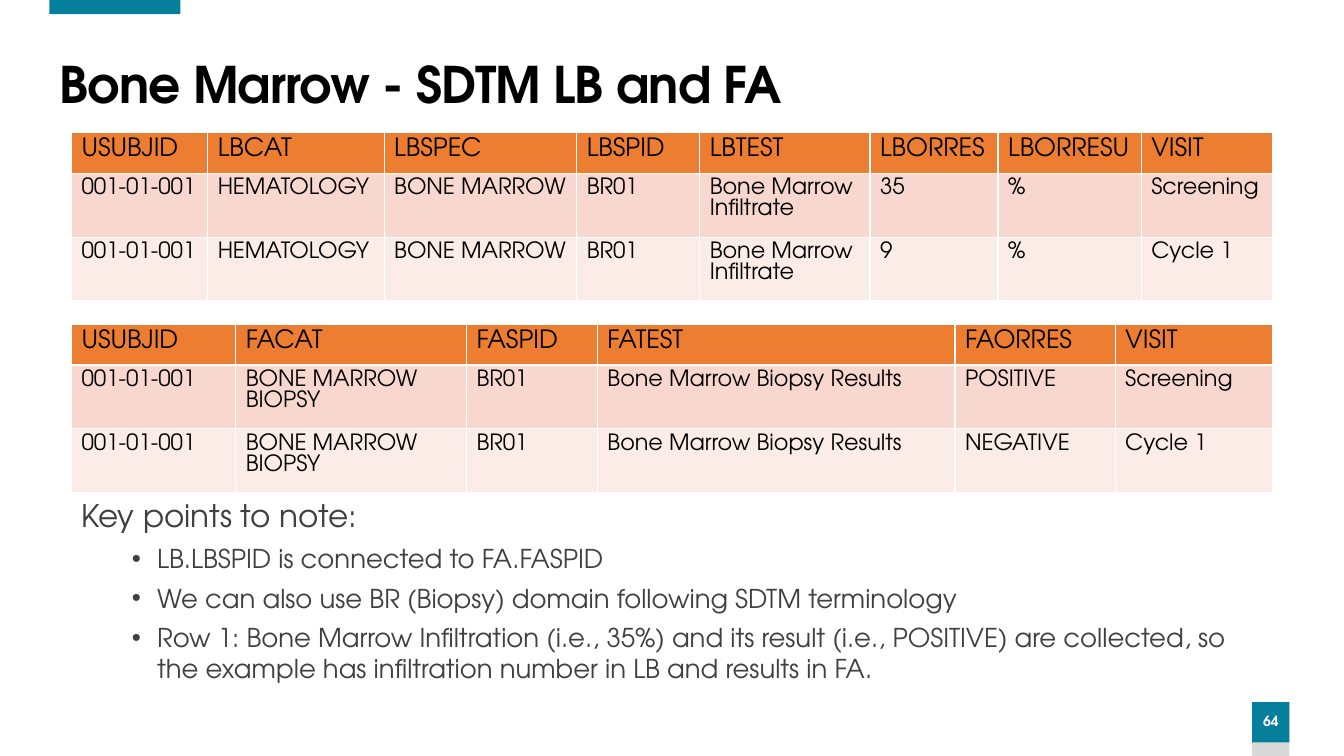
from dataclasses import dataclass

from lxml import etree
from pptx import Presentation
from pptx import util as u
from pptx.dml.color import RGBColor
from pptx.enum import shapes, text
from pptx.oxml.ns import qn


@dataclass(frozen=True)
class Theme:
    """Colours, font and type sizes of the slide."""
    font: str = "TeX Gyre Adventor"
    teal: str = "067F9C"
    grey: str = "D9D9D9"
    white: str = "FFFFFF"
    black: str = "000000"
    body: str = "404040"
    header: str = "ED7D31"
    bands: tuple = ("F8D7CE", "FCECE8")
    title_size: float = 36
    lead_size: float = 22.2
    point_size: float = 18.5
    header_size: float = 18
    cell_size: float = 16
    number_size: float = 10


@dataclass(frozen=True)
class Box:
    """A region measured in columns and rows of the slide grid."""
    left: float
    top: float
    width: float
    height: float

    def place(self):
        """Return the region as slide lengths."""
        return [grid(n) for n in (self.left, self.top, self.width, self.height)]


THEME = Theme()
COLUMNS = 133.3
SLIDE_WIDTH = u.Inches(13.33)
SLIDE_HEIGHT = u.Inches(7.5)

LB_ROWS = [
    ["USUBJID", "LBCAT", "LBSPEC", "LBSPID", "LBTEST", "LBORRES", "LBORRESU", "VISIT"],
    ["001-01-001", "HEMATOLOGY", "BONE MARROW", "BR01", "Bone Marrow Infiltrate",
     "35", "%", "Screening"],
    ["001-01-001", "HEMATOLOGY", "BONE MARROW", "BR01", "Bone Marrow Infiltrate",
     "9", "%", "Cycle 1"],
]
FA_ROWS = [
    ["USUBJID", "FACAT", "FASPID", "FATEST", "FAORRES", "VISIT"],
    ["001-01-001", "BONE MARROW\nBIOPSY", "BR01", "Bone Marrow Biopsy Results",
     "POSITIVE", "Screening"],
    ["001-01-001", "BONE MARROW\nBIOPSY", "BR01", "Bone Marrow Biopsy Results",
     "NEGATIVE", "Cycle 1"],
]
KEY_POINTS = [
    "LB.LBSPID is connected to FA.FASPID",
    "We can also use BR (Biopsy) domain following SDTM terminology",
    "Row 1: Bone Marrow Infiltration (i.e., 35%) and its result (i.e., POSITIVE) "
    "are collected, so the example has infiltration number in LB and results in FA.",
]


def grid(cells):
    """Convert grid cells to a slide length."""
    return u.Emu(round(SLIDE_WIDTH * cells / COLUMNS))


def write(paragraph, words, *, size, color, bold=False, align=None, line=None,
          after=None, bullet=False, tracking=None):
    """Put formatted words in a paragraph."""
    if bullet:
        properties = paragraph._p.get_or_add_pPr()
        properties.set("marL", str(u.Inches(0.75)))
        properties.set("indent", str(u.Inches(-0.25)))
        etree.SubElement(properties, qn("a:buFont")).set("typeface", "Arial")
        etree.SubElement(properties, qn("a:buChar")).set("char", "•")
    paragraph.alignment = align
    paragraph.line_spacing = line
    paragraph.space_after = None if after is None else u.Pt(after)
    run = paragraph.add_run()
    run.text = words
    run.font.name = THEME.font
    run.font.size = u.Pt(size)
    run.font.bold = bold
    run.font.color.rgb = RGBColor.from_string(color)
    if tracking is not None:
        run._r.get_or_add_rPr().set("spc", str(round(tracking * 100)))


def add_block(slide, box, color):
    """Draw a plain filled rectangle."""
    block = slide.shapes.add_shape(shapes.MSO_SHAPE.RECTANGLE, *box.place())
    block.shadow.inherit = False
    block.fill.solid()
    block.fill.fore_color.rgb = RGBColor.from_string(color)
    block.line.fill.background()
    return block


def add_text_frame(slide, box):
    """Add a wrapping text box and return its frame."""
    frame = slide.shapes.add_textbox(*box.place()).text_frame
    frame.word_wrap = True
    return frame


def add_page_number(slide, box, number):
    """Draw the page number tile with the grey foot below it."""
    add_block(slide, box, THEME.grey)
    tile = add_block(slide, Box(box.left, box.top, box.width, 4), THEME.teal)
    frame = tile.text_frame
    frame.margin_left = frame.margin_right = 0
    frame.vertical_anchor = text.MSO_ANCHOR.MIDDLE
    write(frame.paragraphs[0], number, size=THEME.number_size, color=THEME.white,
          bold=True, align=text.PP_ALIGN.CENTER, line=0.9)


def add_title(slide, box, words):
    """Write the slide title."""
    frame = add_text_frame(slide, box)
    frame.vertical_anchor = text.MSO_ANCHOR.MIDDLE
    write(frame.paragraphs[0], words, size=THEME.title_size, color=THEME.black,
          bold=True, line=0.9, tracking=-0.6)


def add_key_points(slide, box, lead, points):
    """Write the lead line and its bullets."""
    frame = add_text_frame(slide, box)
    write(frame.paragraphs[0], lead, size=THEME.lead_size, color=THEME.body, after=6)
    for point in points:
        write(frame.add_paragraph(), point, size=THEME.point_size,
              color=THEME.body, after=6, bullet=True)


def add_borders(cell):
    """Draw thin white lines around a cell."""
    properties = cell._tc.get_or_add_tcPr()
    for position, side in enumerate(("a:lnL", "a:lnR", "a:lnT", "a:lnB")):
        line = etree.Element(qn(side), w=str(u.Pt(1)))
        fill = etree.SubElement(line, qn("a:solidFill"))
        etree.SubElement(fill, qn("a:srgbClr")).set("val", THEME.white)
        properties.insert(position, line)


def add_data_table(slide, box, columns, heights, rows):
    """Draw a table with an orange header and tinted rows."""
    table = slide.shapes.add_table(len(rows), len(columns), *box.place()).table
    for column, width in zip(table.columns, columns):
        column.width = grid(box.width * width / sum(columns))
    for index, (row, height, values) in enumerate(zip(table.rows, heights, rows)):
        row.height = grid(height)
        is_header = index == 0
        color = THEME.header if is_header else THEME.bands[(index - 1) % 2]
        for cell, value in zip(row.cells, values):
            cell.fill.solid()
            cell.fill.fore_color.rgb = RGBColor.from_string(color)
            add_borders(cell)
            for number, words in enumerate(value.split("\n")):
                frame = cell.text_frame
                paragraph = frame.add_paragraph() if number else frame.paragraphs[0]
                write(paragraph, words, color=THEME.black,
                      size=THEME.header_size if is_header else THEME.cell_size)


def main():
    """Build and save the slide."""
    presentation = Presentation()
    presentation.slide_width = SLIDE_WIDTH
    presentation.slide_height = SLIDE_HEIGHT
    slide = presentation.slides.add_slide(presentation.slide_layouts[6])
    add_page_number(slide, Box(124.2, 69.65, 3.7, 5.35), "64")
    add_block(slide, Box(4.9, 0, 13, 1.4), THEME.teal)
    add_title(slide, Box(4.9, 5.4, 122.2, 6.5), "Bone Marrow - SDTM LB and FA")
    add_key_points(slide, Box(7.1, 48.8, 116.4, 21.1), "Key points to note:", KEY_POINTS)
    add_data_table(slide, Box(7.1, 13.15, 119.1, 15.5),
                   [13.5, 17.5, 19.1, 12.2, 16.9, 12.7, 14.2, 13], [4.05, 5.15, 6.3], LB_ROWS)
    add_data_table(slide, Box(7.1, 32.2, 119.1, 15.1),
                   [16.3, 22.9, 13, 35.5, 15.9, 15.6], [3.65, 5.15, 6.3], FA_ROWS)
    presentation.save("out.pptx")


if __name__ == "__main__":
    main()
